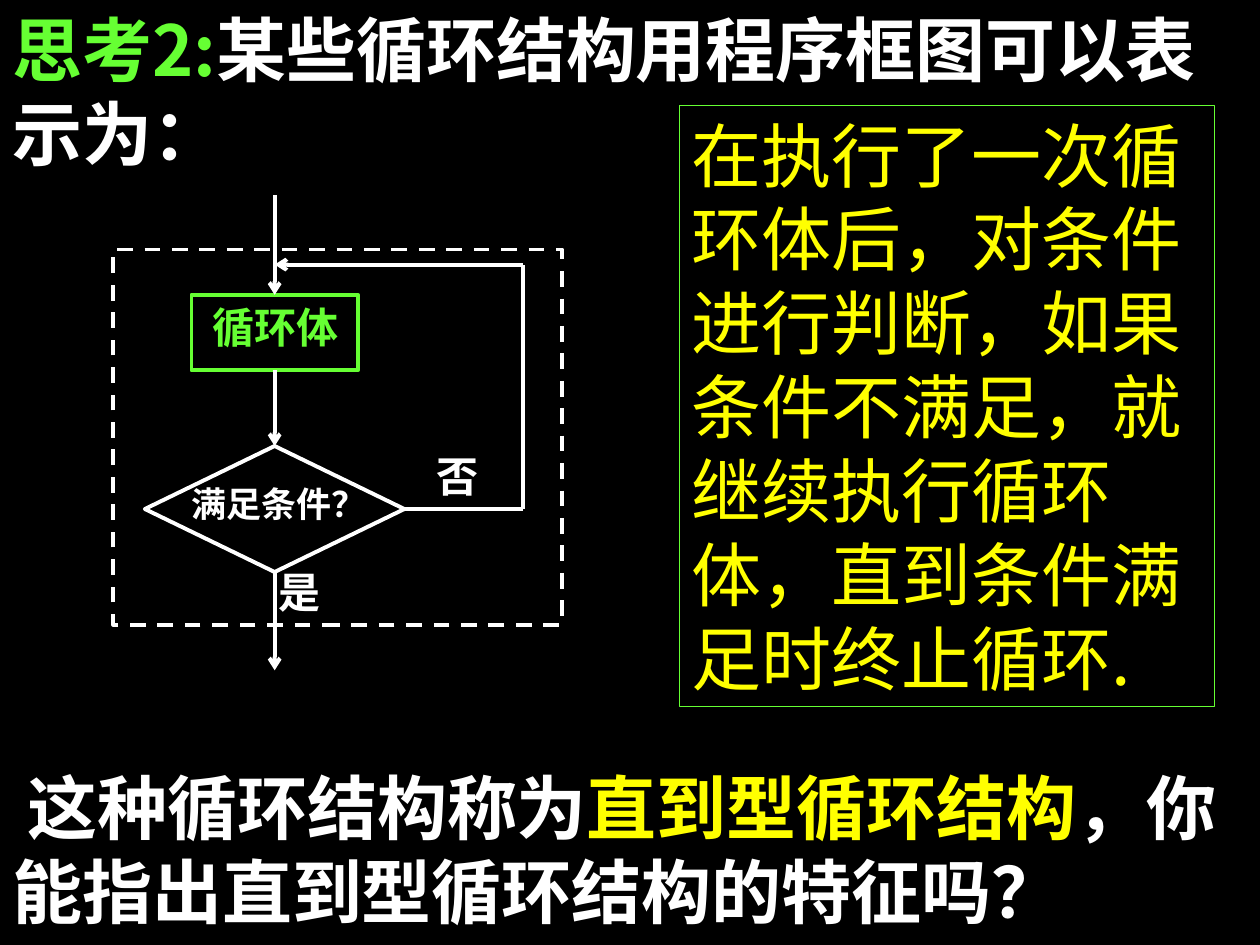
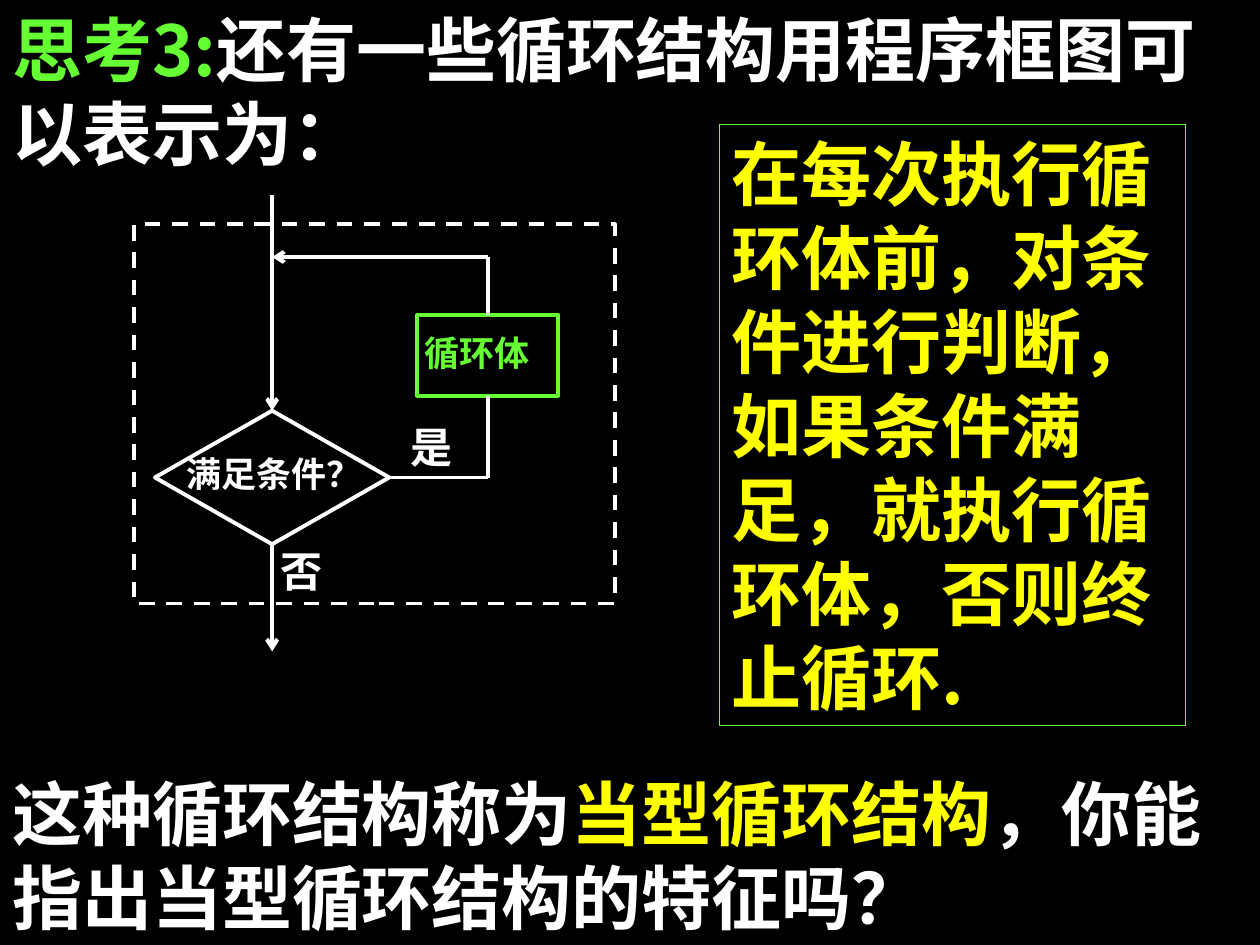
import pptx
import pptx.util
import pptx.dml.color
import pptx.enum.dml
import pptx.enum.shapes
import pptx.enum.text
import pptx.oxml
import pptx.oxml.ns

Inches = pptx.util.Inches
Pt = pptx.util.Pt
SHAPE = pptx.enum.shapes.MSO_SHAPE

COLORS = {"black": "000000", "white": "FFFFFF", "green": "66FF33", "yellow": "FFFF00"}
RGB = {name: pptx.dml.color.RGBColor.from_string(code) for name, code in COLORS.items()}
SANS, LABEL_FONT = "Noto Sans CJK SC", "Times New Roman"

# Connector ends are either (x, y) in inches or (shape name, connection site).
SLIDES = [
    {
        "title": [("思考2:", "green"), ("某些循环结构用程序框图可以表示为：", "white")],
        "frame": (0.9, 1.98, 3.56, 2.98),
        "body": (1.52, 2.34, 1.32, 0.6),
        "test": (1.15, 3.54, 2.06, 1),
        "labels": [
            ("循环体", 24, "green", (1.59, 2.34, 1.38, 0.6)),
            ("满足条件？", 20, "white", (1.42, 3.78, 1.68, 0.6)),
            ("是", 24, "white", (2.11, 4.45, 0.56, 0.6)),
            ("否", 24, "white", (3.37, 3.53, 0.56, 0.6)),
        ],
        "lines": [
            ((2.18, 1.55), ("body", 0), True),
            (("body", 2), ("test", 0), True),
            (("test", 2), (2.18, 5.32), True),
            (("test", 3), (4.15, 4.04), False),
            ((4.15, 4.04), (4.15, 2.1), False),
            ((4.15, 2.1), (2.18, 2.1), True),
        ],
        "question": [("这种循环结构称为", "white"), ("直到型循环结构", "yellow"),
                     ("，你能指出直到型循环结构的特征吗？", "white")],
        "question_box": (0, 6.02, 9.8, 1.44),
        "question_font": SANS,
        "question_indent": 0.12,
        "panel": "在执行了一次循环体后，对条件进行判断，如果条件不满足，"
                 "就继续执行循环体，直到条件满足时终止循环.",
        "panel_box": (5.39, 0.84, 4.25, 4.77),
        "panel_bold": False,
    },
    {
        "title": [("思考3:", "green"), ("还有一些循环结构用程序框图可以表示为：", "white")],
        "frame": (1.06, 1.78, 3.82, 3.01),
        "body": (3.31, 2.5, 1.12, 0.64),
        "test": (1.23, 3.26, 1.86, 1.06),
        "labels": [
            ("循环体", 20, "green", (3.27, 2.58, 1.26, 0.64)),
            ("满足条件？", 20, "white", (1.38, 3.54, 2.05, 0.64)),
            ("是", 24, "white", (3.16, 3.3, 0.48, 0.64)),
            ("否", 24, "white", (2.13, 4.28, 0.48, 0.64)),
        ],
        "lines": [
            ((2.16, 1.55), ("test", 0), True),
            (("test", 2), (2.16, 5.17), True),
            (("test", 3), (3.87, 3.79), False),
            ((3.87, 3.79), ("body", 2), False),
            (("body", 0), (3.87, 2.04), False),
            ((3.87, 2.04), (2.16, 2.04), True),
        ],
        "question": [("这种循环结构称为", "white"), ("当型循环结构", "yellow"),
                     ("，你能指出当型循环结构的特征吗？", "white")],
        "question_box": (0, 6.07, 10, 1.44),
        "question_font": "Arial",
        "question_indent": 0,
        "panel": "在每次执行循环体前，对条件进行判断，如果条件满足，"
                 "就执行循环体，否则终止循环.",
        "panel_box": (5.71, 0.99, 3.7, 4.77),
        "panel_bold": True,
    },
]


def write(sp, runs, size=40, font=SANS, bold=True, indent=0):
    """Fill a shape with one top-left paragraph of (text, colour) runs.

    Punctuation wraps inside the box instead of hanging past its edge.
    """
    tf = sp.text_frame
    tf.word_wrap = True
    tf.auto_size = pptx.enum.text.MSO_AUTO_SIZE.NONE
    tf.vertical_anchor = pptx.enum.text.MSO_ANCHOR.TOP
    p = tf.paragraphs[0]
    p.alignment = pptx.enum.text.PP_ALIGN.LEFT
    pPr = p._p.get_or_add_pPr()
    pPr.set("hangingPunct", "0")
    if indent:
        pPr.set("indent", str(Inches(indent)))
    for text, color in runs:
        r = p.add_run()
        r.text = text
        r.font.size = Pt(size)
        r.font.name = font
        r.font.bold = bold
        r.font.color.rgb = RGB[color]
        ea = pptx.oxml.parse_xml(
            f'<a:ea {pptx.oxml.ns.nsdecls("a")} typeface="{SANS}"/>')
        r._r.rPr.find(pptx.oxml.ns.qn("a:latin")).addnext(ea)


def add_outline(s, kind, box, color, width=2.25):
    sp = s.shapes.add_shape(kind, *map(Inches, box))
    sp.shadow.inherit = False
    sp.fill.background()
    sp.line.color.rgb = RGB[color]
    sp.line.width = Pt(width)
    return sp


prs = pptx.Presentation()
prs.slide_width, prs.slide_height = Inches(10), Inches(7.5)

for data in SLIDES:
    s = prs.slides.add_slide(prs.slide_layouts[5])
    s.background.fill.solid()
    s.background.fill.fore_color.rgb = RGB["black"]

    title = s.shapes.title
    title.left, title.top, title.width, title.height = map(Inches, (0, 0, 10, 1.44))
    write(title, data["title"])

    frame = add_outline(s, SHAPE.RECTANGLE, data["frame"], "white")
    frame.line.dash_style = pptx.enum.dml.MSO_LINE.DASH
    nodes = {
        "body": add_outline(s, SHAPE.RECTANGLE, data["body"], "green"),
        "test": add_outline(s, SHAPE.DIAMOND, data["test"], "white"),
    }
    for text, size, color, box in data["labels"]:
        write(s.shapes.add_textbox(*map(Inches, box)), [(text, color)], size, LABEL_FONT)

    for start, end, arrow in data["lines"]:
        xy = [(0, 0) if point[0] in nodes else point for point in (start, end)]
        line = s.shapes.add_connector(
            pptx.enum.shapes.MSO_CONNECTOR.STRAIGHT, *map(Inches, xy[0] + xy[1]))
        if start[0] in nodes:
            line.begin_connect(nodes[start[0]], start[1])
        if end[0] in nodes:
            line.end_connect(nodes[end[0]], end[1])
        line.line.color.rgb = RGB["white"]
        line.line.width = Pt(2.25)
        if arrow:
            line.line._get_or_add_ln().append(pptx.oxml.parse_xml(
                f'<a:tailEnd {pptx.oxml.ns.nsdecls("a")} type="arrow"/>'))
        line._element.spPr.append(pptx.oxml.parse_xml(
            f'<a:effectLst {pptx.oxml.ns.nsdecls("a")}/>'))

    question = s.shapes.add_textbox(*map(Inches, data["question_box"]))
    write(question, data["question"], font=data["question_font"],
          indent=data["question_indent"])

    panel = add_outline(s, SHAPE.RECTANGLE, data["panel_box"], "green", 0.75)
    write(panel, [(data["panel"], "yellow")], bold=data["panel_bold"])

prs.save("out.pptx")
